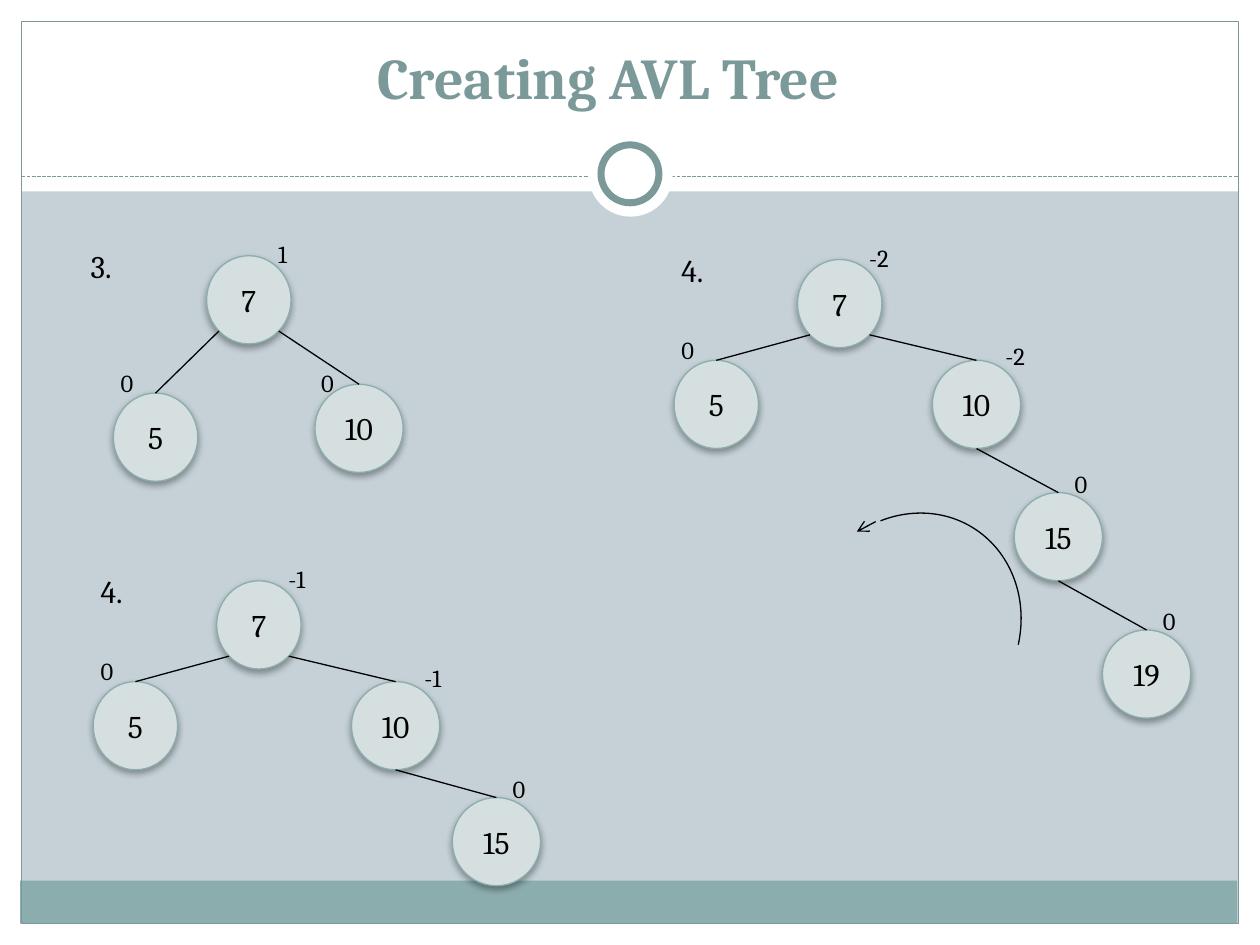
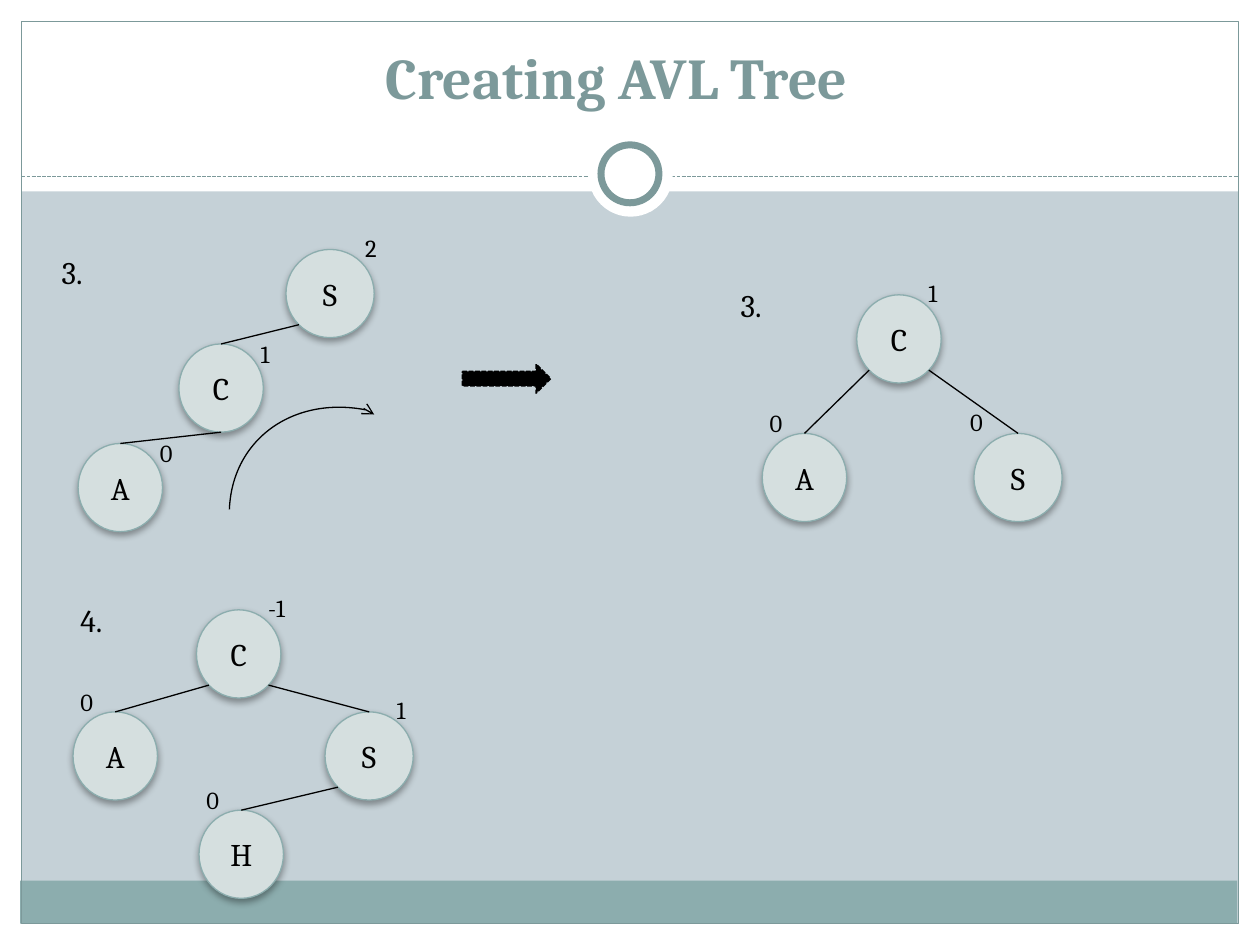
import dataclasses
import math

import pptx
import pptx.dml.color
import pptx.enum.dml
import pptx.enum.shapes
import pptx.enum.text
import pptx.oxml
import pptx.oxml.ns
import pptx.util

Inches = pptx.util.Inches
Pt = pptx.util.Pt
SHAPE = pptx.enum.shapes.MSO_SHAPE
ANCHOR = pptx.enum.text.MSO_ANCHOR
ALIGN = pptx.enum.text.PP_ALIGN
FIT = pptx.enum.text.MSO_AUTO_SIZE
SYS_DASH = pptx.enum.dml.MSO_LINE.SQUARE_DOT
NS = pptx.oxml.ns.nsdecls("a")


@dataclasses.dataclass(frozen=True)
class Theme:
    font: str = "Cambria"
    ground: str = "C5D1D7"
    white: str = "FFFFFF"
    black: str = "000000"
    accent: str = "7C999A"
    band: str = "8CADAE"
    node: str = "D5DFDF"
    title_size: int = 33
    text_size: int = 18
    label_size: int = 14
    thin: float = 0.75


@dataclasses.dataclass(frozen=True)
class Node:
    value: str
    balance: str
    offset: tuple
    label_offset: tuple
    parent: str = ""
    leaves_from: str = ""


NODE_HEIGHT = 0.7
NARROW, WIDE = 0.67, 0.7
WIDE_VALUES = {"10", "15", "19", "S"}
LABEL_WIDTHS = {"0": 0.32, "1": 0.29, "2": 0.31, "-1": 0.36, "-2": 0.39}
STEP_OFFSET = (-1.02, -0.12)
CORNER = (0.47, -0.18)
SHOULDER = (0.48, -0.2)
ABOVE_LEFT = (-0.04, -0.25)
ABOVE_RIGHT = (0.38, -0.24)
BESIDE = (0.55, -0.09)


def rgb(value):
    return pptx.dml.color.RGBColor.from_string(value)


def apply(target, **values):
    for attribute, value in values.items():
        setattr(target, attribute, value)


class Deck:
    def __init__(self, theme):
        self.theme = theme
        self.presentation = pptx.Presentation()
        apply(self.presentation, slide_width=Inches(10), slide_height=Inches(7.5))
        self.slide = None

    def new_slide(self, title, title_left):
        theme = self.theme
        self.slide = self.presentation.slides.add_slide(self.presentation.slide_layouts[6])
        background = self.slide.background.fill
        background.solid()
        background.fore_color.rgb = rgb(theme.ground)
        for edge in ((0, 7.33, 10, 0.17), (0, 0, 10, 1.52),
                     (0, 0, 0.17, 7.5), (9.83, 0, 0.17, 7.5)):
            self.shape(SHAPE.RECTANGLE, edge, theme.white)
        self.shape(SHAPE.RECTANGLE, (0.16, 6.99, 9.66, 0.34), theme.band)
        self.shape(SHAPE.RECTANGLE, (0.17, 0.17, 9.66, 7.16), line=theme.accent)
        self.line((0.17, 1.4), (9.83, 1.4), theme.accent, dash=SYS_DASH)
        self.shape(SHAPE.OVAL, (4.67, 1.05, 0.67, 0.67), theme.white)
        self.shape(SHAPE.OVAL, (4.77, 1.15, 0.46, 0.46), theme.white, theme.accent, 4)
        heading = self.text(title, (title_left, 0.23, 6.17, 0.7), theme.title_size,
                            theme.accent, bold=True, align=ALIGN.CENTER)
        apply(heading.text_frame, vertical_anchor=ANCHOR.BOTTOM, word_wrap=True)

    def shape(self, kind, box, fill=None, line=None, width=Theme.thin, dash=None):
        shape = self.slide.shapes.add_shape(kind, *map(Inches, box))
        shape.shadow.inherit = False
        if fill:
            shape.fill.solid()
            shape.fill.fore_color.rgb = rgb(fill)
        else:
            shape.fill.background()
        if line:
            shape.line.color.rgb = rgb(line)
            apply(shape.line, width=Pt(width), dash_style=dash)
        else:
            shape.line.fill.background()
        return shape

    def line(self, start, end, color=Theme.black, dash=None, arrow=False):
        line = self.slide.shapes.add_connector(
            pptx.enum.shapes.MSO_CONNECTOR.STRAIGHT, *map(Inches, (*start, *end)))
        line.line.color.rgb = rgb(color)
        apply(line.line, width=Pt(self.theme.thin), dash_style=dash)
        if arrow:
            outline = line._element.spPr.find(pptx.oxml.ns.qn("a:ln"))
            outline.append(pptx.oxml.parse_xml(f'<a:tailEnd {NS} type="arrow"/>'))
        line._element.spPr.append(pptx.oxml.parse_xml(f"<a:effectLst {NS}/>"))
        return line

    def fill_text(self, frame, words, size, color, bold=False, align=ALIGN.LEFT):
        paragraph = frame.paragraphs[0]
        paragraph.alignment = align
        run = paragraph.add_run()
        run.text = words
        apply(run.font, name=self.theme.font, size=Pt(size), bold=bold)
        run.font.color.rgb = rgb(color)

    def text(self, words, box, size, color=Theme.black, **style):
        text = self.slide.shapes.add_textbox(*map(Inches, box))
        self.fill_text(text.text_frame, words, size, color, **style)
        return text

    def label(self, words, at, width, height, size):
        label = self.text(words, (*at, width, height), size)
        apply(label.text_frame, word_wrap=False, auto_size=FIT.SHAPE_TO_FIT_TEXT)

    def node(self, value, at, width):
        theme = self.theme
        node = self.shape(SHAPE.OVAL, (*at, width, NODE_HEIGHT), theme.node, theme.band)
        node._element.spPr.find(pptx.oxml.ns.qn("a:effectLst")).append(pptx.oxml.parse_xml(
            f'<a:outerShdw {NS} blurRad="{Pt(4)}" dist="{Pt(2)}" dir="5400000" rotWithShape="0">'
            f'<a:srgbClr val="{theme.black}"><a:alpha val="35000"/></a:srgbClr></a:outerShdw>'))
        apply(node.text_frame, word_wrap=False, vertical_anchor=ANCHOR.MIDDLE,
              margin_left=0, margin_right=0)
        self.fill_text(node.text_frame, value, theme.text_size, theme.black, align=ALIGN.CENTER)
        return node

    def tree(self, step, root_at, nodes, step_offset=STEP_OFFSET):
        theme = self.theme

        def shifted(point, offset):
            return tuple(a + b for a, b in zip(point, offset))

        self.label(step, shifted(root_at, step_offset), 0.41, 0.4, theme.text_size)
        placed = {}
        for node in nodes:
            at = shifted(root_at, node.offset)
            width = WIDE if node.value in WIDE_VALUES else NARROW
            circle = self.node(node.value, at, width)
            placed[node.value] = at, width
            if node.parent:
                edge = self.line(at, self.exit_point(*placed[node.parent], node.leaves_from))
                edge.begin_connect(circle, 0)
            self.label(node.balance, shifted(at, node.label_offset),
                       LABEL_WIDTHS[node.balance], 0.34, theme.label_size)

    def exit_point(self, at, width, side):
        angle = math.radians({"right": 45, "bottom": 90, "left": 135}[side])
        return (at[0] + width / 2 * (1 + math.cos(angle)),
                at[1] + NODE_HEIGHT / 2 * (1 + math.sin(angle)))

    def rotation_arc(self, box, turn, start, end, arrow_from, arrow_to):
        arc = self.shape(SHAPE.ARC, box, line=self.theme.black)
        arc.rotation = turn
        for index, degrees in enumerate((start, end)):
            arc.adjustments[index] = degrees * 0.6
        self.line(arrow_from, arrow_to, arrow=True)


def right_heavy(balance, *descendants):
    return [
        Node("7", balance, (0, 0), CORNER),
        Node("5", "0", (-0.98, 0.8), ABOVE_LEFT, "7", "left"),
        Node("10", balance, (1.07, 0.8), SHOULDER, "7", "right"),
        *descendants,
    ]


def insert_numbers(deck):
    deck.new_slide("Creating AVL Tree", 1.74)
    deck.tree("3.", (1.64, 2.03), [
        Node("7", "1", (0, 0), CORNER),
        Node("5", "0", (-0.74, 1.09), ABOVE_LEFT, "7", "left"),
        Node("10", "0", (0.86, 1.02), (-0.05, -0.18), "7", "right"),
    ])
    deck.tree("4.", (1.72, 4.61), right_heavy(
        "-1", Node("15", "0", (1.87, 1.72), ABOVE_RIGHT, "10", "bottom")))
    deck.tree("4.", (6.33, 2.06), right_heavy(
        "-2",
        Node("15", "0", (1.72, 1.85), ABOVE_RIGHT, "10", "bottom"),
        Node("19", "0", (2.42, 2.94), ABOVE_RIGHT, "15", "bottom")))
    deck.rotation_arc((6.38, 4.05, 1.7, 1.88), 30.7, 223.54, 337.82,
                      (6.95, 4.14), (6.8, 4.22))


def insert_letters(deck):
    deck.new_slide("Creating AVL Tree", 1.81)
    deck.tree("3.", (2.27, 1.98), [
        Node("S", "2", (0, 0), (0.53, -0.18)),
        Node("C", "1", (-0.85, 0.75), BESIDE, "S", "left"),
        Node("A", "0", (-1.65, 1.54), BESIDE, "C", "bottom"),
    ], (-1.88, -0.02))
    deck.rotation_arc((1.93, 3.13, 1.88, 2.24), 310, 241.22, 321.8,
                      (2.9, 3.25), (2.97, 3.29))
    deck.shape(SHAPE.RIGHT_ARROW, (3.67, 2.89, 0.7, 0.23),
               deck.theme.black, deck.theme.black, 0.9, SYS_DASH)
    deck.tree("3.", (6.8, 2.34), [
        Node("C", "1", (0, 0), CORNER),
        Node("A", "0", (-0.75, 1.1), ABOVE_LEFT, "C", "left"),
        Node("S", "0", (0.93, 1.1), (-0.13, -0.26), "C", "right"),
    ])
    deck.tree("4.", (1.56, 4.84), [
        Node("C", "-1", (0, 0), CORNER),
        Node("A", "0", (-0.98, 0.81), ABOVE_LEFT, "C", "left"),
        Node("S", "1", (1.02, 0.81), CORNER, "C", "right"),
        Node("H", "0", (0.02, 1.59), ABOVE_LEFT, "S", "left"),
    ])


def main():
    deck = Deck(Theme())
    insert_numbers(deck)
    insert_letters(deck)
    deck.presentation.save("out.pptx")


if __name__ == "__main__":
    main()
